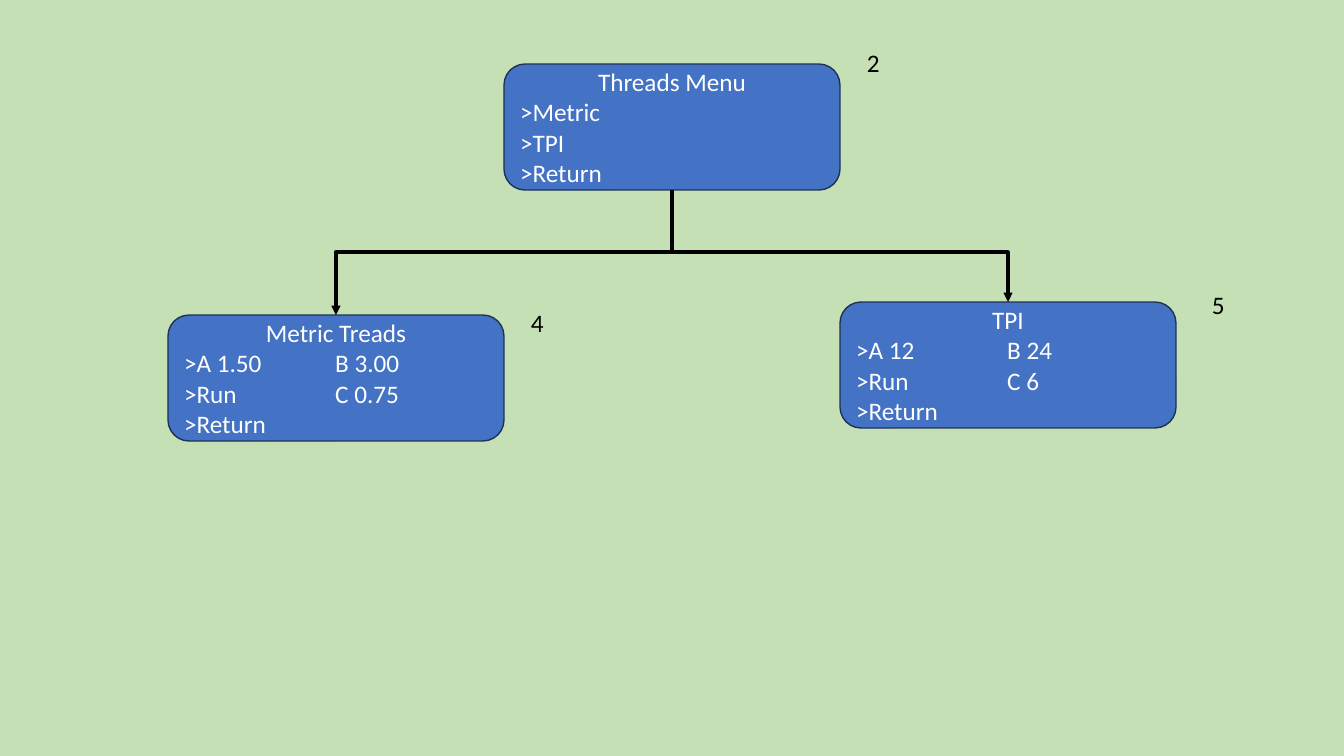
"""Build a slide with the threads menu and its two submenus."""
from dataclasses import dataclass

from lxml import etree
from pptx import Presentation
from pptx import util as u
from pptx.dml.color import RGBColor
from pptx.enum import shapes, text
from pptx.oxml.ns import qn
from pptx.shapes.autoshape import Shape
from pptx.slide import Slide
from pptx.text.text import TextFrame

SLIDE_WIDTH, SLIDE_HEIGHT = 1344, 756
EMU_PER_PX = 12192000 / SLIDE_WIDTH
MENU_WIDTH, MENU_HEIGHT = 336, 126
NUMBER_WIDTH, NUMBER_HEIGHT = 58, 40
BRANCH_Y = 252
COLORS = {
    "background": "C5E0B4",
    "menu": "4472C4",
    "outline": "1E3256",
    "menu_text": "FFFFFF",
    "ink": "000000",
}


@dataclass(frozen=True)
class Menu:
    left: int
    top: int
    title: str
    entries: tuple[str, ...]
    number: str
    number_left: int
    number_top: int


ROOT = Menu(504, 64, "Threads Menu", (">Metric", ">TPI", ">Return"), "2", 857, 42)
SUBMENUS = (
    Menu(168, 315, "Metric Treads", (">A 1.50\t\tB 3.00", ">Run\t\tC 0.75", ">Return"),
         "4", 521, 302),
    Menu(840, 302, "TPI", (">A 12\t\tB 24", ">Run\t\tC 6", ">Return"), "5", 1202, 284),
)


def px(length: float) -> u.Emu:
    return u.Emu(round(length * EMU_PER_PX))


def color(name: str) -> RGBColor:
    return RGBColor.from_string(COLORS[name])


def write_lines(frame: TextFrame, lines: tuple[str, ...], color_name: str) -> None:
    for index, line in enumerate(lines):
        paragraph = frame.add_paragraph() if index else frame.paragraphs[0]
        paragraph.alignment = text.PP_ALIGN.LEFT
        run = paragraph.add_run()
        run.text = line
        run.font.name = "Calibri"
        run.font.size = u.Pt(18)
        run.font.color.rgb = color(color_name)


def draw_menu(slide: Slide, menu: Menu) -> Shape:
    shape = slide.shapes.add_shape(
        shapes.MSO_SHAPE.ROUNDED_RECTANGLE,
        px(menu.left), px(menu.top), px(MENU_WIDTH), px(MENU_HEIGHT),
    )
    shape.shadow.inherit = False
    shape.fill.solid()
    shape.fill.fore_color.rgb = color("menu")
    shape.line.color.rgb = color("outline")
    shape.line.width = u.Pt(1)
    shape.text_frame.vertical_anchor = text.MSO_ANCHOR.MIDDLE
    write_lines(shape.text_frame, (menu.title, *menu.entries), "menu_text")
    shape.text_frame.paragraphs[0].alignment = text.PP_ALIGN.CENTER
    return shape


def draw_number(slide: Slide, menu: Menu) -> None:
    box = slide.shapes.add_textbox(
        px(menu.number_left), px(menu.number_top), px(NUMBER_WIDTH), px(NUMBER_HEIGHT)
    )
    box.text_frame.word_wrap = True
    box.text_frame.auto_size = text.MSO_AUTO_SIZE.SHAPE_TO_FIT_TEXT
    write_lines(box.text_frame, (menu.number,), "ink")


def draw_branch(slide: Slide, parent: Menu, child: Menu,
                parent_shape: Shape, child_shape: Shape) -> None:
    """Draw an elbow that leaves the parent downwards, as a rotated connector."""
    start_x, end_x = parent.left + MENU_WIDTH / 2, child.left + MENU_WIDTH / 2
    start_y, end_y = parent.top + MENU_HEIGHT, child.top
    drop, span = end_y - start_y, abs(end_x - start_x)
    connector = slide.shapes.add_connector(
        shapes.MSO_CONNECTOR.ELBOW, px(start_x), px(start_y), px(end_x), px(end_y)
    )
    connector.begin_connect(parent_shape, 2)
    connector.end_connect(child_shape, 0)
    connector.left = px((start_x + end_x - drop) / 2)
    connector.top = px((start_y + end_y - span) / 2)
    connector.width, connector.height = px(drop), px(span)

    to_right = end_x > start_x
    properties = connector.element.spPr
    frame = properties.find(qn("a:xfrm"))
    frame.set("rot", str((270 if to_right else 90) * 60000))
    frame.set("flipH", "1" if to_right else "0")
    guides = properties.find(qn("a:prstGeom")).get_or_add_avLst()
    bend = round((BRANCH_Y - start_y) / drop * 100000)
    etree.SubElement(guides, qn("a:gd"), name="adj1", fmla=f"val {bend}")

    connector.line.color.rgb = color("ink")
    connector.line.width = u.Pt(2.25)
    etree.SubElement(properties.find(qn("a:ln")), qn("a:tailEnd"), type="triangle")
    etree.SubElement(properties, qn("a:effectLst"))


def main() -> None:
    presentation = Presentation()
    presentation.slide_width, presentation.slide_height = px(SLIDE_WIDTH), px(SLIDE_HEIGHT)
    slide = presentation.slides.add_slide(presentation.slide_layouts[6])
    slide.background.fill.solid()
    slide.background.fill.fore_color.rgb = color("background")

    root_shape = draw_menu(slide, ROOT)
    submenu_shapes = [draw_menu(slide, menu) for menu in SUBMENUS]
    for menu, shape in zip(SUBMENUS, submenu_shapes):
        draw_branch(slide, ROOT, menu, root_shape, shape)
    for menu in (ROOT, *SUBMENUS):
        draw_number(slide, menu)
    presentation.save("out.pptx")


if __name__ == "__main__":
    main()
